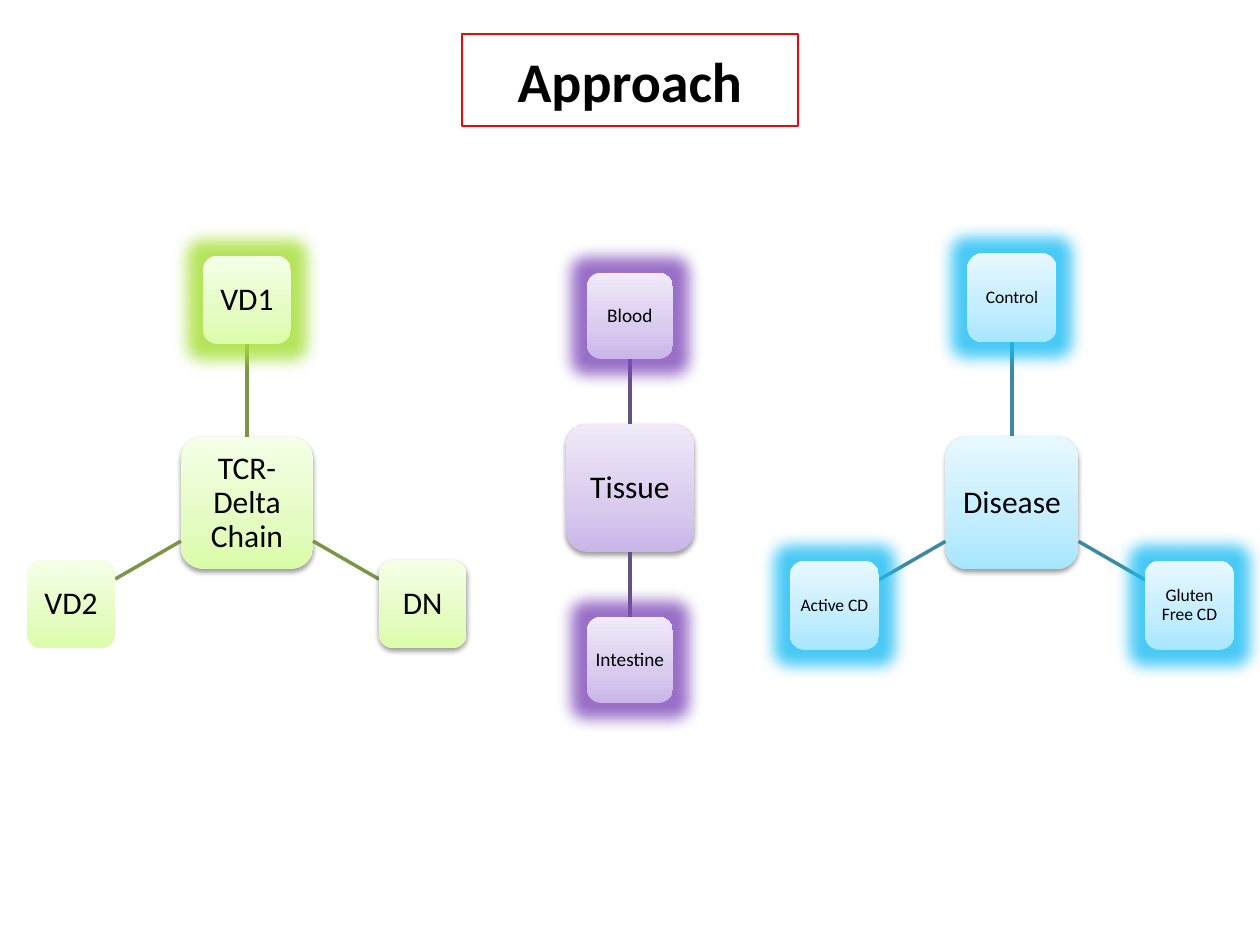
from dataclasses import dataclass
from math import cos, radians, sin
from copy import deepcopy

from lxml.etree import SubElement
from pptx import Presentation
from pptx.dml.color import RGBColor
from pptx.enum.shapes import MSO_CONNECTOR, MSO_SHAPE
from pptx.enum.text import MSO_ANCHOR, PP_ALIGN
from pptx.oxml.ns import qn
from pptx.util import Emu, Pt

EMU_PER_PX = 914400 / 126
TOP, BOTTOM = 0, 2


@dataclass(frozen=True)
class Palette:
    gradient: tuple  # bottom, middle, top
    line: str
    glow: str


@dataclass(frozen=True)
class Theme:
    font: str = "Calibri"
    text: str = "000000"
    title_line: str = "FF0000"
    title_size: int = 32
    large: int = 18
    medium: int = 11
    small: int = 10
    green: Palette = Palette(("DAFDA7", "E4FCC2", "F5FFE7"), "7C9647", "A4DF34")
    purple: Palette = Palette(("C9B5E8", "D8CBEE", "F0EAF9"), "675082", "804CBA")
    blue: Palette = Palette(("A7E6FF", "C1EDFF", "E7F8FF"), "3C8A9F", "1CBDF4")


def px(length):
    return Emu(round(length * EMU_PER_PX))


def write_text(shape, text, *, font, size, color, bold=False, spacing=1.0, inset=6):
    frame = shape.text_frame
    frame.word_wrap = True
    frame.vertical_anchor = MSO_ANCHOR.MIDDLE
    frame.margin_left = frame.margin_right = px(inset)
    frame.margin_top = frame.margin_bottom = px(inset)
    paragraph = frame.paragraphs[0]
    paragraph.alignment = PP_ALIGN.CENTER
    paragraph.line_spacing = spacing
    run = paragraph.add_run()
    run.text = text
    run.font.name = font
    run.font.size = Pt(size)
    run.font.bold = bold
    run.font.color.rgb = RGBColor.from_string(color)


def add_effect(shape, kind, color, alpha, **attributes):
    """Add a glow or an outer shadow; alpha is a percentage."""
    effects = shape._element.spPr.find(qn("a:effectLst"))
    effect = SubElement(effects, qn(f"a:{kind}"),
                        {name: str(value) for name, value in attributes.items()})
    color_element = SubElement(effect, qn("a:srgbClr"), val=color)
    SubElement(color_element, qn("a:alpha"), val=str(alpha * 1000))


def fill_gradient(shape, colors):
    fill = shape.fill
    fill.gradient()
    fill.gradient_angle = 90
    first = next(shape._element.spPr.iter(qn("a:gs")))
    first.addnext(deepcopy(first))
    for stop, position, color in zip(fill.gradient_stops, (0, 0.35, 1), colors):
        stop.position = position
        stop.color.rgb = RGBColor.from_string(color)


class SlideBuilder:
    def __init__(self, slide, theme):
        self.slide = slide
        self.theme = theme

    def title(self, text, left, top, width, height):
        shape = self.slide.shapes.add_shape(
            MSO_SHAPE.RECTANGLE, px(left), px(top), px(width), px(height))
        shape.shadow.inherit = False
        shape.fill.background()
        shape.line.color.rgb = RGBColor.from_string(self.theme.title_line)
        shape.line.width = Pt(0.75)
        write_text(shape, text, font=self.theme.font, size=self.theme.title_size,
                   color=self.theme.text, bold=True)

    def box(self, text, center, side, palette, size, effect):
        x, y = center
        shape = self.slide.shapes.add_shape(
            MSO_SHAPE.ROUNDED_RECTANGLE, px(x - side / 2), px(y - side / 2),
            px(side), px(side))
        shape.shadow.inherit = False
        shape.line.fill.background()
        fill_gradient(shape, palette.gradient)
        if effect == "glow":
            add_effect(shape, "glow", palette.glow, 80, rad=Pt(18))
        elif effect == "shadow":
            add_effect(shape, "outerShdw", "000000", 38, blurRad=Pt(3.1),
                       dist=Pt(1.6), dir=5400000, rotWithShape=0)
        write_text(shape, text, font=self.theme.font, size=size,
                   color=self.theme.text, spacing=0.9,
                   inset=6 if size == self.theme.large else 4)
        return shape

    def connector(self, start, end, color):
        connector = self.slide.shapes.add_connector(
            MSO_CONNECTOR.STRAIGHT, *map(px, (*start, *end)))
        connector.line.color.rgb = RGBColor.from_string(color)
        connector.line.width = Pt(2)
        SubElement(connector._element.spPr, qn("a:effectLst"))
        return connector

    def radial(self, hub_text, center, hub_side, side, distance, palette, size, branches):
        """Draw a hub with branches given as (text, clockwise angle, effect)."""
        hub = self.box(hub_text, center, hub_side, palette, self.theme.large, "shadow")
        for text, angle, effect in branches:
            across, down = cos(radians(angle)), sin(radians(angle))
            edge = 2 * max(abs(across), abs(down))

            def along(reach):
                return center[0] + reach * across, center[1] + reach * down

            connector = self.connector(along(hub_side / edge),
                                       along(distance - side / edge), palette.line)
            branch = self.box(text, along(distance), side, palette, size, effect)
            if angle in (-90, 90):
                upward = angle == -90
                connector.begin_connect(hub, TOP if upward else BOTTOM)
                connector.end_connect(branch, BOTTOM if upward else TOP)


def main():
    presentation = Presentation()
    presentation.slide_width, presentation.slide_height = px(1260), px(945)
    slide = presentation.slides.add_slide(presentation.slide_layouts[6])
    theme = Theme()
    builder = SlideBuilder(slide, theme)

    builder.title("Approach", 462, 34, 336, 92)
    builder.radial("TCR- Delta Chain", (247, 503), 132, 88, 203, theme.green, theme.large, [
        ("VD1", -90, "glow"), ("DN", 30, "shadow"), ("VD2", 150, None)])
    builder.radial("Tissue", (630, 488), 128, 86, 172, theme.purple, theme.medium, [
        ("Blood", -90, "glow"), ("Intestine", 90, "glow")])
    builder.radial("Disease", (1012, 503), 133, 89, 205, theme.blue, theme.small, [
        ("Control", -90, "glow"), ("Gluten Free CD", 30, "glow"),
        ("Active CD", 150, "glow")])

    presentation.save("out.pptx")


if __name__ == "__main__":
    main()
